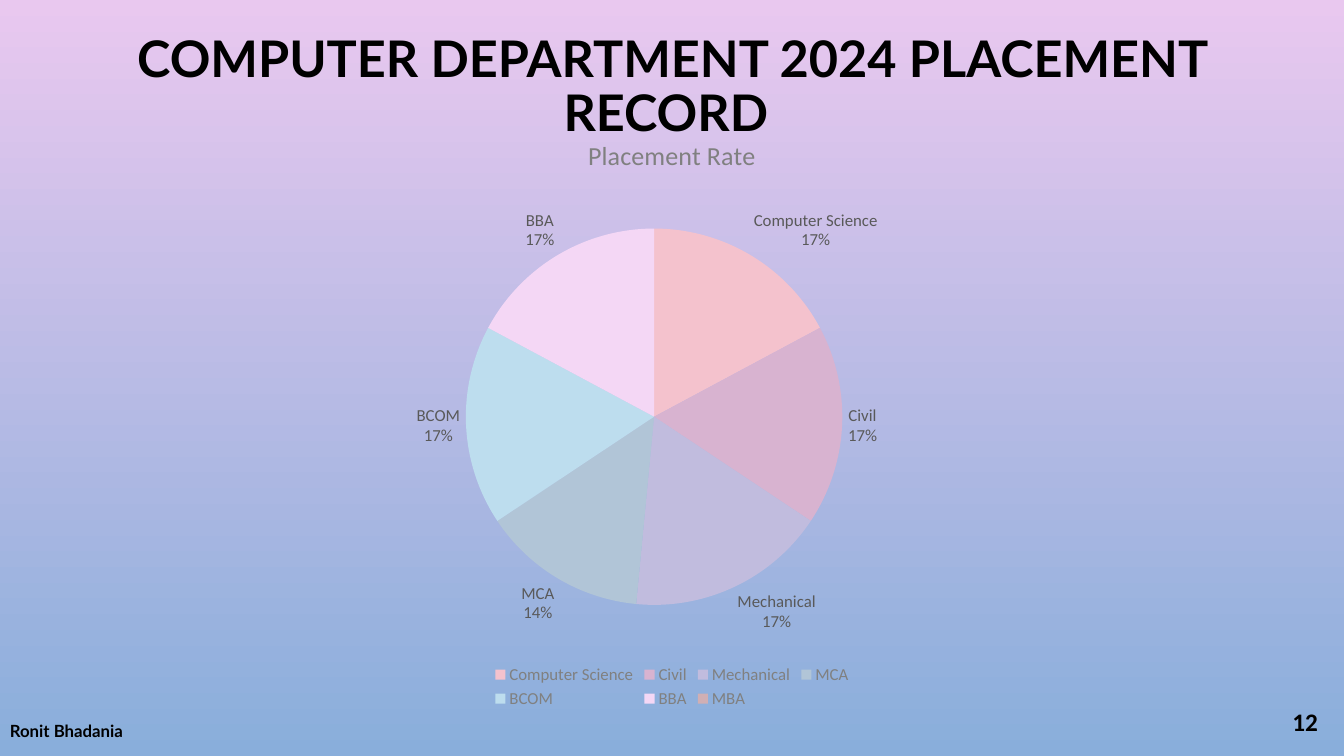
from lxml import etree
from pptx import Presentation
from pptx.chart.data import CategoryChartData
from pptx.dml.color import RGBColor
from pptx.enum.chart import XL_CHART_TYPE, XL_LABEL_POSITION, XL_LEGEND_POSITION
from pptx.enum.text import MSO_ANCHOR, PP_ALIGN
from pptx.oxml.ns import qn
from pptx.util import Inches, Pt

BACKGROUND = ("E9C8EF", "89AEDB")
TEXTS = [
    ("COMPUTER DEPARTMENT 2024 PLACEMENT RECORD ", (0.26, 0, 12.81, 1.75),
     "Lato", 36, PP_ALIGN.CENTER, 0.9),
    ("Ronit Bhadania", (0, 7.05, 7.3, 0.4), "Lato", 12, PP_ALIGN.LEFT, 1.0),
    ("12", (12.33, 6.96, 0.84, 0.4), "Calibri", 18, PP_ALIGN.RIGHT, 1.0),
]
CHART_TITLE = "Placement Rate"
CHART_BOX = (2.22, 1.14, 8.89, 5.93)
PIE_AREA = {"x": 0.27, "y": 0.19, "w": 0.42, "h": 0.63}
DEPARTMENTS = [
    ("Computer Science", 17, "F4C2CD"),
    ("Civil", 17, "D8B3D0"),
    ("Mechanical", 17, "C1BCDE"),
    ("MCA", 14, "B1C5D7"),
    ("BCOM", 17, "BDDDEE"),
    ("BBA", 17, "F4D7F5"),
    ("MBA", None, "D0AFB4"),
]


def color(value):
    return RGBColor.from_string(value)


def style_font(font, name, size, value, bold=False):
    font.name = name
    font.size = Pt(size)
    font.bold = bold
    font.color.rgb = color(value)


def paint_background(slide):
    fill = slide.background.fill
    fill.gradient()
    fill.gradient_angle = 270
    for stop, value, position in zip(fill.gradient_stops, BACKGROUND, (0, 1)):
        stop.color.rgb = color(value)
        stop.position = position


def add_text(slide, text, box, font_name, size, alignment, spacing):
    frame = slide.shapes.add_textbox(*map(Inches, box)).text_frame
    frame.word_wrap = True
    frame.vertical_anchor = MSO_ANCHOR.MIDDLE
    paragraph = frame.paragraphs[0]
    paragraph.text = text
    paragraph.alignment = alignment
    paragraph.line_spacing = spacing
    style_font(paragraph.font, font_name, size, "000000", True)


def place_pie(chart):
    plot_area = chart.plots[0]._element.getparent()
    for layout in plot_area.findall(qn("c:layout")):
        plot_area.remove(layout)
    layout = etree.Element(qn("c:layout"))
    manual = etree.SubElement(layout, qn("c:manualLayout"))
    settings = {"layoutTarget": "inner", "xMode": "edge", "yMode": "edge", **PIE_AREA}
    for tag, value in settings.items():
        etree.SubElement(manual, qn(f"c:{tag}")).set("val", str(value))
    plot_area.insert(0, layout)


def add_placement_chart(slide):
    data = CategoryChartData()
    data.categories = [name for name, _, _ in DEPARTMENTS]
    data.add_series(CHART_TITLE, [rate for _, rate, _ in DEPARTMENTS])
    chart = slide.shapes.add_chart(
        XL_CHART_TYPE.PIE, *map(Inches, CHART_BOX), data).chart
    style_font(chart.font, "Calibri", 10, "000000")

    chart.has_title = True
    title = chart.chart_title.text_frame.paragraphs[0]
    title.text = CHART_TITLE
    style_font(title.font, "Calibri", 18.6, "808080")

    chart.has_legend = True
    chart.legend.position = XL_LEGEND_POSITION.BOTTOM
    chart.legend.include_in_layout = False
    style_font(chart.legend.font, "Calibri", 12, "808080")

    plot = chart.plots[0]
    plot.vary_by_categories = True
    for index, (_, _, value) in enumerate(DEPARTMENTS):
        fill = plot.series[0].points[index].format.fill
        fill.solid()
        fill.fore_color.rgb = color(value)

    labels = plot.series[0].data_labels
    labels.show_value = False
    labels.show_percentage = True
    labels.show_category_name = True
    labels.position = XL_LABEL_POSITION.OUTSIDE_END
    style_font(labels.font, "Calibri", 12, "595959")
    separator = etree.Element(qn("c:separator"))
    separator.text = "\n"
    labels._element.find(qn("c:showBubbleSize")).addnext(separator)
    place_pie(chart)


def main():
    presentation = Presentation()
    presentation.slide_width = Inches(13.33)
    presentation.slide_height = Inches(7.5)
    slide = presentation.slides.add_slide(presentation.slide_layouts[6])
    paint_background(slide)
    add_placement_chart(slide)
    for entry in TEXTS:
        add_text(slide, *entry)
    presentation.save("out.pptx")


if __name__ == "__main__":
    main()
